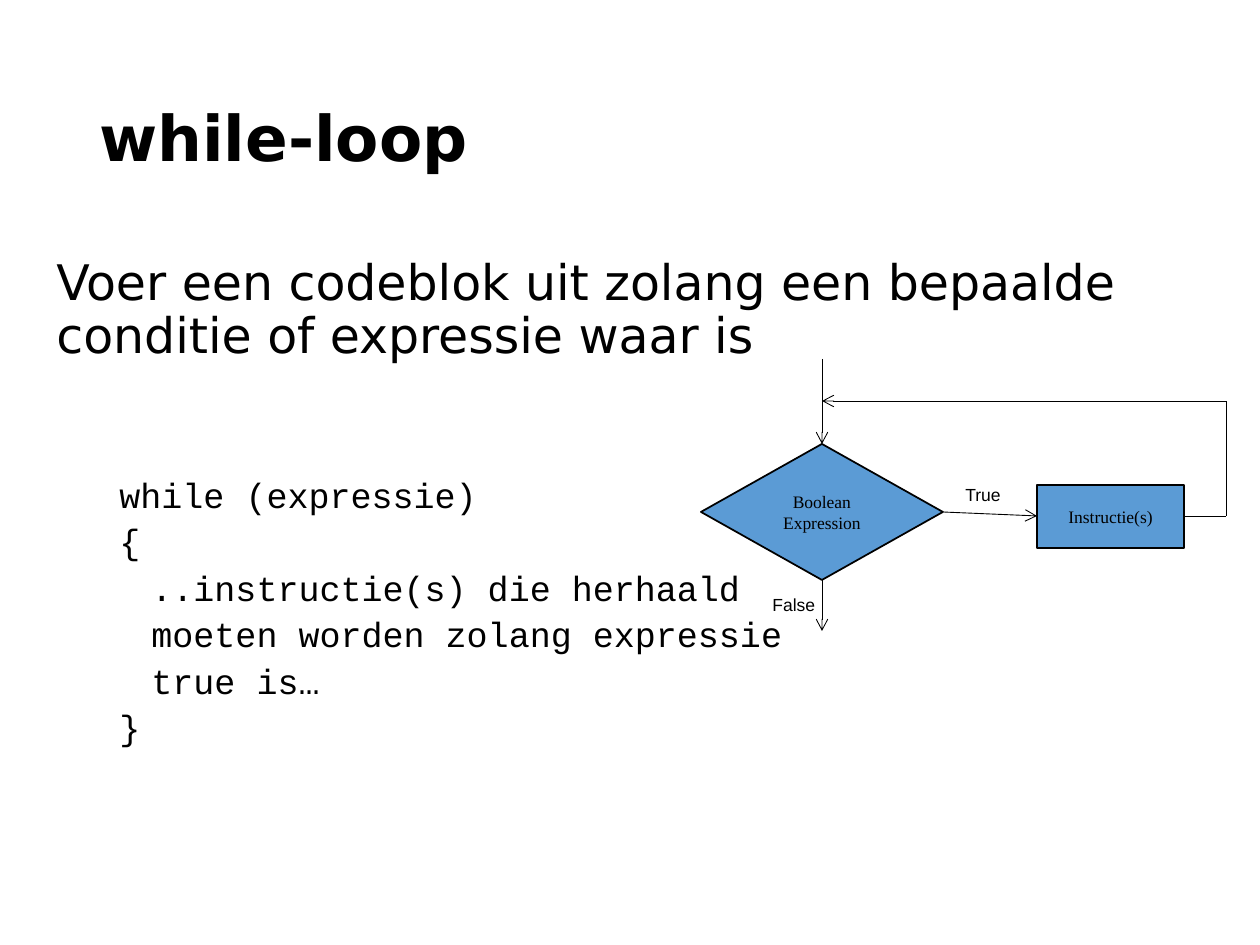
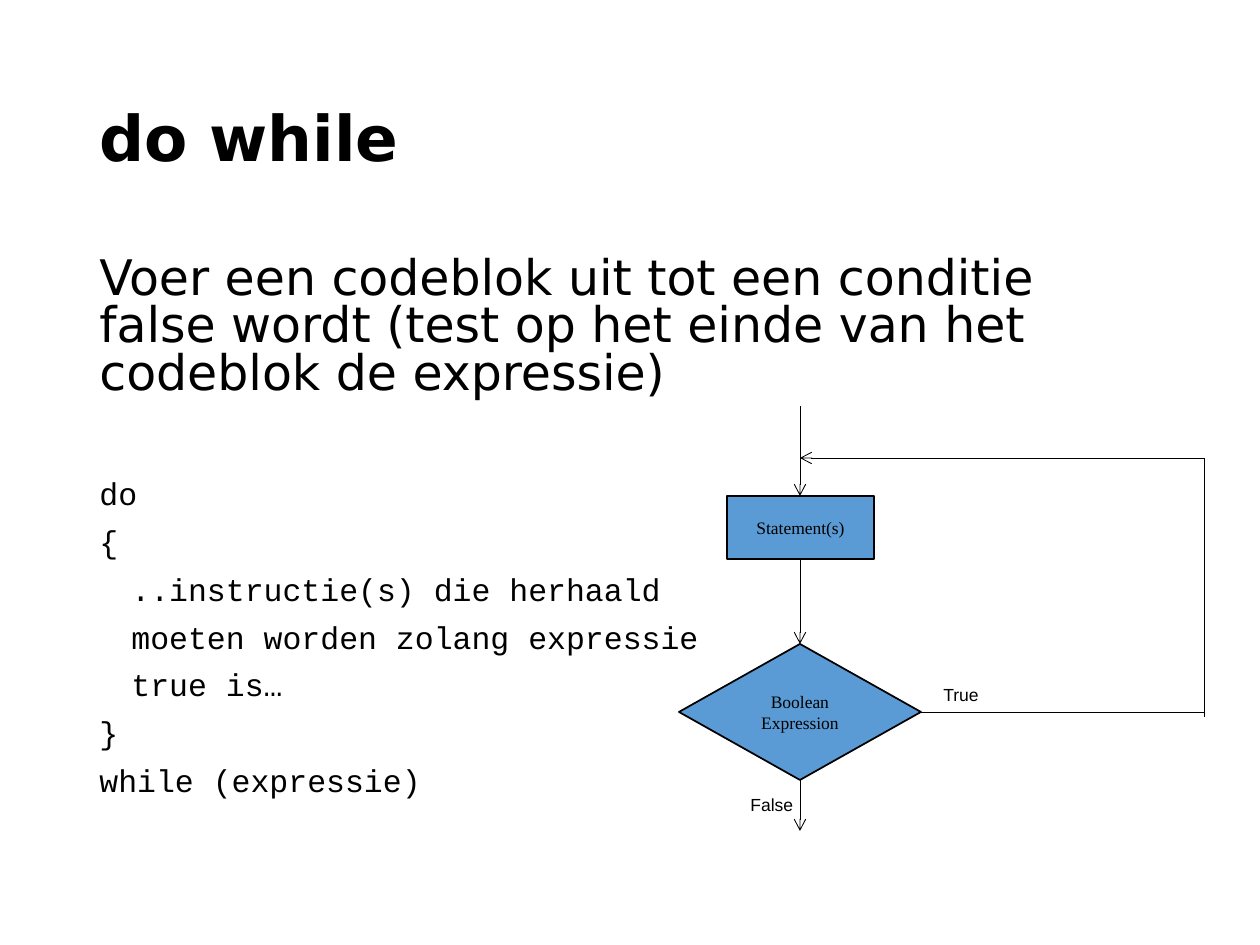
from itertools import pairwise

from lxml.etree import SubElement
from pptx import Presentation
from pptx.dml.color import RGBColor
from pptx.enum.shapes import MSO_CONNECTOR as Connector, MSO_SHAPE as Shape
from pptx.enum.text import MSO_ANCHOR as Anchor, PP_ALIGN as Align
from pptx.oxml.ns import qn
from pptx.util import Emu, Pt

EMU_PER_PX = 914400 / 126
BLACK = RGBColor(0x00, 0x00, 0x00)
BLUE = RGBColor(0x5B, 0x9B, 0xD5)

TITLE_FONT = {"name": "DejaVu Sans", "size": Pt(36), "bold": True}
INTRO_FONT = {"name": "DejaVu Sans", "size": Pt(28)}
SHAPE_FONT = {"name": "Times New Roman", "size": Pt(10)}
LABEL_FONT = {"name": "Arial", "size": Pt(10)}
CODE_FONT = "Courier New"

NODE_SIZES = {Shape.FLOWCHART_DECISION: (242, 136), Shape.FLOWCHART_PROCESS: (147, 63)}
CODE_INDENT = 32
LOOP_BODY = [
    ("{", 0),
    ("..instructie(s) die herhaald", 1),
    ("moeten worden zolang expressie", 1),
    ("true is…", 1),
    ("}", 0),
]


def px(*lengths):
    """Turn px lengths into EMU."""
    return [Emu(round(length * EMU_PER_PX)) for length in lengths]


def apply_format(target, values):
    """Set every attribute named in a dict of format values."""
    for name, value in values.items():
        setattr(target, name, value)


def write_line(para, text, font, layout):
    """Write one black run into a paragraph with its layout."""
    apply_format(para, layout)
    span = para.add_run()
    span.text = text
    apply_format(span.font, font)
    span.font.color.rgb = BLACK


def add_text(slide, frame, text, font, layout, wrap=True, anchor=Anchor.TOP):
    """Add a text box with a first paragraph and return its text frame."""
    body = slide.shapes.add_textbox(*px(*frame)).text_frame
    apply_format(body, {"word_wrap": wrap, "vertical_anchor": anchor})
    write_line(body.paragraphs[0], text, font, layout)
    return body


def add_title(slide, text):
    """Add the slide title."""
    add_text(slide, (87, 50, 1086, 183), text, TITLE_FONT,
             {"line_spacing": 0.9}, anchor=Anchor.MIDDLE)


def add_body(slide, frame, intro, code, size, spacing, gaps, margin):
    """Add the explanation followed by the indented code listing."""
    first_gap, line_gap = gaps
    body = add_text(slide, frame, intro, INTRO_FONT,
                    {"line_spacing": spacing, "space_before": Pt(10)})
    for index, (text, depth) in enumerate(code):
        para = body.add_paragraph()
        gap = line_gap if index else first_gap
        write_line(para, text, {"name": CODE_FONT, "size": Pt(size)},
                   {"line_spacing": spacing, "space_before": Pt(gap)})
        [left] = px(margin + depth * CODE_INDENT)
        para._p.get_or_add_pPr().set("marL", str(left))


def add_line(slide, start, end, arrow=False):
    """Add a thin straight line, with an arrowhead at its end if asked."""
    line = slide.shapes.add_connector(Connector.STRAIGHT, *px(*start, *end))
    line.line.color.rgb = BLACK
    line.line.width = Pt(0.5)
    if arrow:
        SubElement(line.line._get_or_add_ln(), qn("a:tailEnd"), type="arrow")
    SubElement(line._element.spPr, qn("a:effectLst"))


def add_route(slide, *points):
    """Join points with lines, the last of which is an arrow."""
    for start, end in pairwise(points):
        add_line(slide, start, end, arrow=end == points[-1])


def add_node(slide, kind, left, top, *lines):
    """Add a flowchart shape with centred text."""
    node = slide.shapes.add_shape(kind, *px(left, top, *NODE_SIZES[kind]))
    node.shadow.inherit = False
    node.fill.solid()
    node.fill.fore_color.rgb = BLUE
    node.line.color.rgb = BLACK
    node.line.width = Pt(1)
    body = node.text_frame
    body.vertical_anchor = Anchor.MIDDLE
    for index, text in enumerate(lines):
        para = body.add_paragraph() if index else body.paragraphs[0]
        write_line(para, text, SHAPE_FONT, {"alignment": Align.CENTER})


def add_decision(slide, left, top):
    """Add the test with its two labels and the arrow that leaves the loop."""
    width, height = NODE_SIZES[Shape.FLOWCHART_DECISION]
    centre, bottom = left + width // 2, top + height
    add_node(slide, Shape.FLOWCHART_DECISION, left, top, "Boolean", "Expression")
    add_route(slide, (centre, bottom), (centre, bottom + 51))
    add_text(slide, (left + 252, top + 34, 62, 34), "True", LABEL_FONT, {}, wrap=False)
    add_text(slide, (left + 59, top + 144, 68, 34), "False", LABEL_FONT, {}, wrap=False)


def build_while(slide):
    """Build the slide about the while loop."""
    add_title(slide, "while-loop")
    add_body(slide, (44, 252, 1129, 600),
             "Voer een codeblok uit zolang een bepaalde conditie of expressie waar is",
             [("while (expressie)", 0), *LOOP_BODY],
             size=20, spacing=0.9, gaps=(65, 5), margin=63)
    add_decision(slide, 701, 444)
    add_node(slide, Shape.FLOWCHART_PROCESS, 1037, 485, "Instructie(s)")
    add_route(slide, (822, 359), (822, 444))
    add_route(slide, (943, 512), (1037, 516))
    add_route(slide, (1184, 516), (1226, 516), (1226, 401), (822, 401))


def build_do_while(slide):
    """Build the slide about the do while loop."""
    add_title(slide, "do while")
    add_body(slide, (87, 252, 1086, 600),
             "Voer een codeblok uit tot een conditie false wordt "
             "(test op het einde van het codeblok de expressie)",
             [("do", 0), *LOOP_BODY, ("while (expressie)", 0)],
             size=18, spacing=0.8, gaps=(47, 10), margin=0)
    add_decision(slide, 679, 644)
    add_node(slide, Shape.FLOWCHART_PROCESS, 727, 496, "Statement(s)")
    add_route(slide, (800, 406), (800, 496))
    add_route(slide, (800, 559), (800, 644))
    add_line(slide, (921, 712), (1204, 712))
    add_route(slide, (1204, 717), (1204, 458), (800, 458))


def main():
    """Build and save the deck."""
    deck = Presentation()
    deck.slide_width, deck.slide_height = px(1260, 945)
    for build in (build_while, build_do_while):
        build(deck.slides.add_slide(deck.slide_layouts[6]))
    deck.save("out.pptx")


if __name__ == "__main__":
    main()
